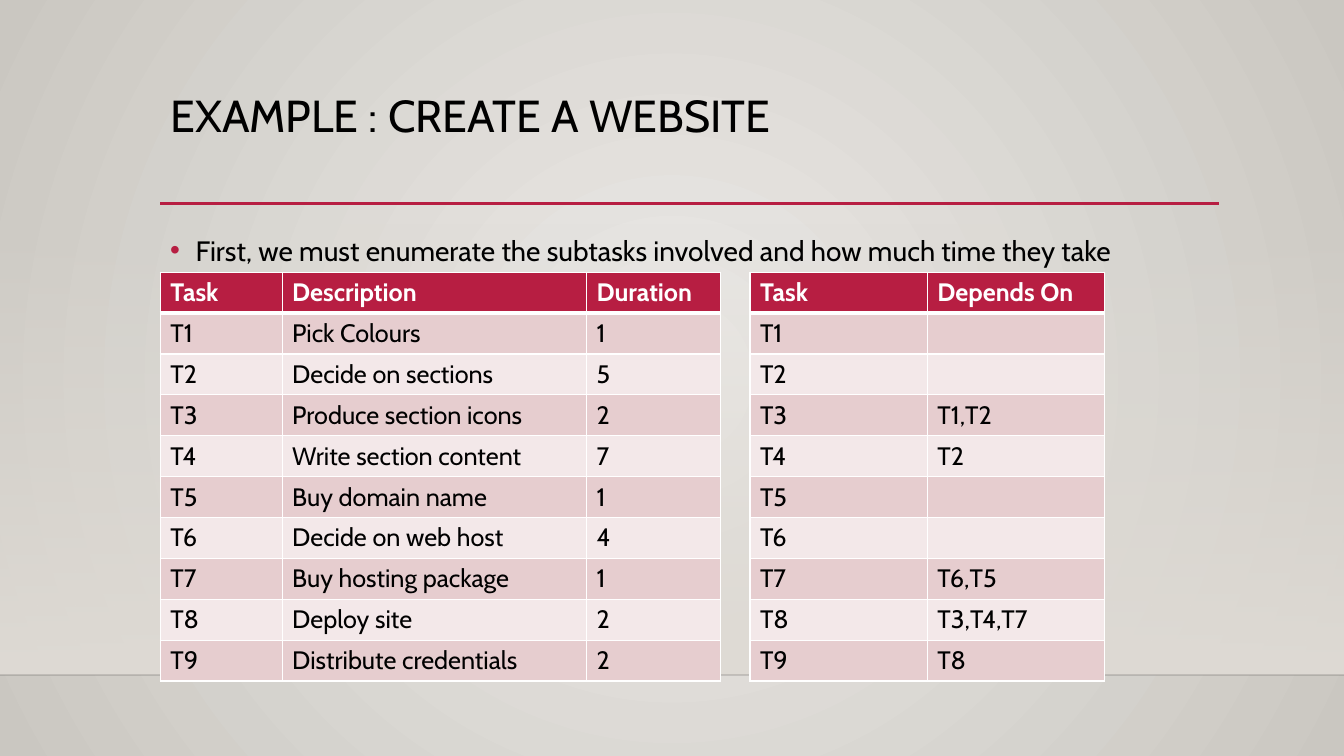
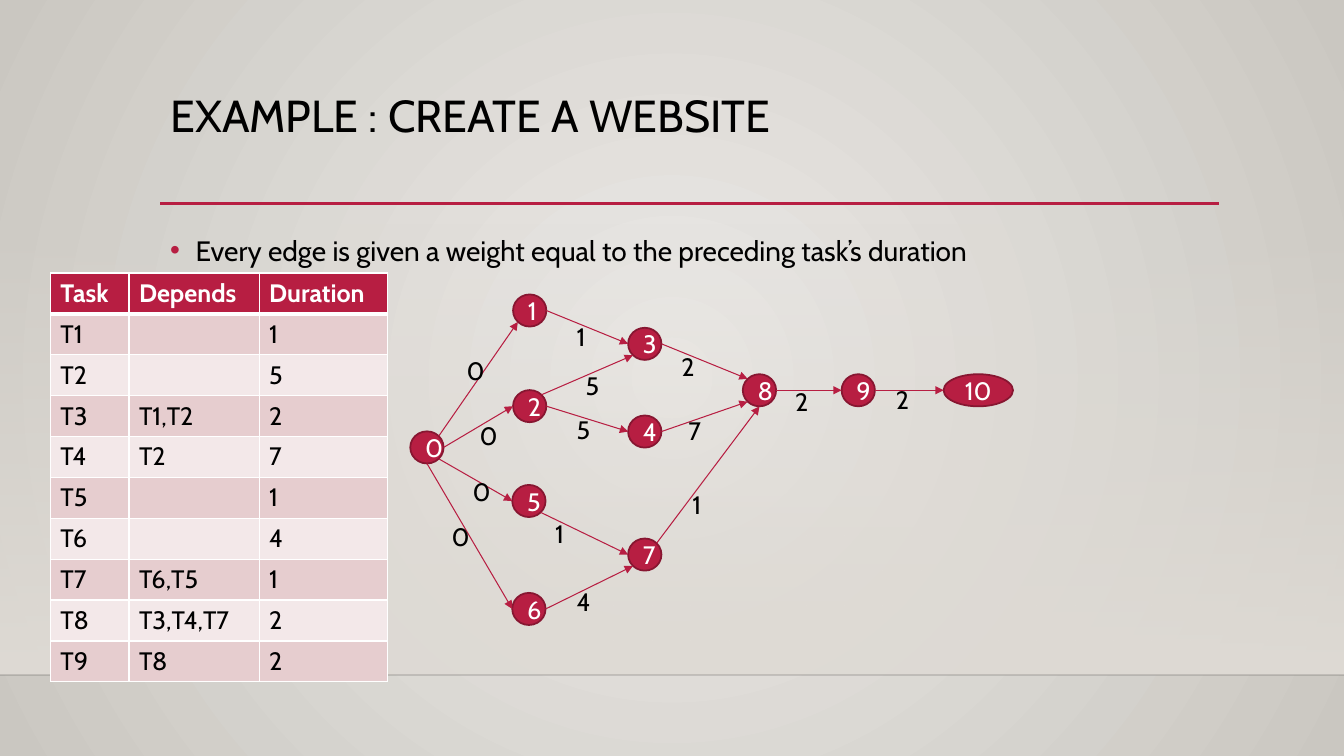
from lxml.etree import SubElement
from pptx import Presentation
from pptx.dml.color import RGBColor
from pptx.enum.shapes import MSO_CONNECTOR, MSO_SHAPE
from pptx.enum.text import MSO_ANCHOR, MSO_AUTO_SIZE, PP_ALIGN
from pptx.oxml.ns import qn
from pptx.util import Cm, Pt

COLORS = {
    "accent": "B71E42", "accent_dark": "871631", "text": "000000", "white": "FFFFFF",
    "row_odd": "E6CDCF", "row_even": "F3E8E9", "floor": "DFDBD5", "horizon": "000001",
    "glow": "ECEAE7", "edge": "CAC7C1",
}
FONT = "Cabin"
SLIDE_WIDTH, SLIDE_HEIGHT = 33.87, 19.05
CONTENT_LEFT, CONTENT_WIDTH = 4.04, 26.67
ROW_HEIGHT = 1.03
TITLE = "EXAMPLE : CREATE A WEBSITE"

# Description, duration and dependencies of T1 to T9
TASKS = [
    ("Pick Colours", 1, ""),
    ("Decide on sections", 5, ""),
    ("Produce section icons", 2, "T1,T2"),
    ("Write section content", 7, "T2"),
    ("Buy domain name", 1, ""),
    ("Decide on web host", 4, ""),
    ("Buy hosting package", 1, "T6,T5"),
    ("Deploy site", 2, "T3,T4,T7"),
    ("Distribute credentials", 2, "T8"),
]

# Top left corner of each numbered node, in cm within the graph
NODE_WIDTH, WIDE_NODE_WIDTH, NODE_HEIGHT = 0.84, 1.75, 0.81
NODES = [
    (0, 3.45), (2.59, 0), (2.59, 2.41), (5.49, 0.84), (5.49, 3.05), (2.57, 4.8),
    (2.57, 7.52), (5.49, 6.15), (8.38, 2.01), (10.87, 2.01), (13.44, 2.01),
]
# Connection sites of an ellipse: index, and direction from its centre
DIAGONAL = 0.71
SITES = {
    "top left": (1, -DIAGONAL, -DIAGONAL), "left": (2, -1, 0),
    "bottom left": (3, -DIAGONAL, DIAGONAL), "bottom": (4, 0, 1),
    "bottom right": (5, DIAGONAL, DIAGONAL), "right": (6, 1, 0),
    "top right": (7, DIAGONAL, -DIAGONAL),
}
# Source, its site, target, its site, top left corner of the weight
EDGES = [
    (0, "top right", 1, "bottom left", 1.17, 1.42),
    (0, "right", 2, "left", 1.5, 3.05),
    (0, "bottom right", 5, "left", 1.32, 4.45),
    (0, "bottom", 6, "left", 0.79, 5.59),
    (1, "right", 3, "left", 3.94, 0.56),
    (2, "top right", 3, "bottom left", 4.17, 1.78),
    (2, "right", 4, "left", 3.94, 2.9),
    (5, "bottom right", 7, "left", 3.4, 5.51),
    (6, "right", 7, "bottom left", 3.94, 7.24),
    (3, "right", 8, "top left", 6.58, 1.32),
    (4, "right", 8, "bottom left", 6.76, 2.92),
    (7, "top right", 8, "bottom", 6.86, 4.78),
    (8, "right", 9, "left", 9.45, 2.18),
    (9, "right", 10, "left", 11.99, 2.13),
]


def rgb(name):
    return RGBColor.from_string(COLORS[name])


def format_text(paragraph, size, color="text", bold=False):
    font = paragraph.font
    font.name, font.size, font.bold = FONT, Pt(size), bold
    font.color.rgb = rgb(color)


def set_gradient(fill, first, last):
    fill.gradient()
    for stop, color in zip(fill.gradient_stops, (first, last)):
        stop.color.rgb = rgb(color)


def set_alpha(parent, percent):
    """Make the first colour below the element see-through."""
    color = next(parent.iter(qn("a:srgbClr")))
    SubElement(color, qn("a:alpha"), val=str(percent * 1000))


def set_background(master):
    set_gradient(master.background.fill, "glow", "edge")
    gradient = next(master.element.iter(qn("a:gradFill")))
    gradient.remove(gradient.find(qn("a:lin")))
    circle = SubElement(gradient, qn("a:path"), path="circle")
    SubElement(circle, qn("a:fillToRect"), {side: "50000" for side in "ltrb"})


def add_line(slide, start, end, color, width):
    line = slide.shapes.add_connector(
        MSO_CONNECTOR.STRAIGHT, *(Cm(value) for value in (*start, *end)))
    line.line.color.rgb = rgb(color)
    line.line.width = Pt(width)
    SubElement(line._element.spPr, qn("a:effectLst"))
    return line


def add_stage(slide):
    """Draw the floor band, the horizon and the rule under the title."""
    top, height = 5.61, 11.4
    floor = slide.shapes.add_shape(
        MSO_SHAPE.RECTANGLE, 0, Cm(top), Cm(SLIDE_WIDTH), Cm(height))
    floor.shadow.inherit = False
    floor.line.fill.background()
    set_gradient(floor.fill, "floor", "floor")
    floor.fill.gradient_angle = 270
    set_alpha(floor._element.spPr, 0)
    horizon = add_line(slide, (0, top + height), (SLIDE_WIDTH, top + height), "horizon", 1)
    set_alpha(horizon._element.spPr, 20)
    add_line(slide, (CONTENT_LEFT, 5.13), (CONTENT_LEFT + CONTENT_WIDTH, 5.13), "accent", 2.5)


def set_title(slide, text):
    title = slide.shapes.title
    title.left, title.top = Cm(CONTENT_LEFT), Cm(2.24)
    title.width, title.height = Cm(CONTENT_WIDTH), Cm(2.92)
    frame = title.text_frame
    frame.text = text
    frame.word_wrap = True
    frame.auto_size = MSO_AUTO_SIZE.NONE
    frame.vertical_anchor = MSO_ANCHOR.TOP
    paragraph = frame.paragraphs[0]
    paragraph.alignment = PP_ALIGN.LEFT
    paragraph.line_spacing = 0.9
    format_text(paragraph, 32)


def add_bullet(slide, text):
    box = slide.shapes.add_textbox(Cm(CONTENT_LEFT), Cm(5.59), Cm(CONTENT_WIDTH), Cm(10.44))
    box.text_frame.word_wrap = True
    paragraph = box.text_frame.paragraphs[0]
    paragraph.text = text
    paragraph.line_spacing = 1.2
    paragraph.space_before = Pt(10)
    properties = paragraph._p.get_or_add_pPr()
    properties.set("marL", str(Cm(0.64)))
    properties.set("indent", str(-Cm(0.64)))
    bullet_color = SubElement(properties, qn("a:buClr"))
    SubElement(bullet_color, qn("a:srgbClr"), val=COLORS["accent"])
    SubElement(properties, qn("a:buFont"), typeface="Arial")
    SubElement(properties, qn("a:buChar"), char="•")
    format_text(paragraph, 20)


def add_task_slide(presentation, bullet):
    slide = presentation.slides.add_slide(presentation.slide_layouts[5])
    add_stage(slide)
    set_title(slide, TITLE)
    add_bullet(slide, bullet)
    return slide


def set_borders(cell, top, bottom):
    properties = cell._tc.get_or_add_tcPr()
    for index, (side, width) in enumerate(zip("LRTB", (1, 1, top, bottom))):
        line = SubElement(properties, qn(f"a:ln{side}"), w=str(Pt(width)))
        fill = SubElement(line, qn("a:solidFill"))
        SubElement(fill, qn("a:srgbClr"), val=COLORS["white"])
        properties.insert(index, line)


def add_task_table(slide, left, top, widths, rows):
    """Add a table whose first row is the heading."""
    table = slide.shapes.add_table(
        len(rows), len(widths), Cm(left), Cm(top),
        Cm(sum(widths)), Cm(ROW_HEIGHT * len(rows))).table
    table.horz_banding = False
    for column, width in zip(table.columns, widths):
        column.width = Cm(width)
    for row_index, row in enumerate(rows):
        heading = row_index == 0
        color = "accent" if heading else "row_odd" if row_index % 2 else "row_even"
        table.rows[row_index].height = Cm(ROW_HEIGHT)
        for column_index, value in enumerate(row):
            cell = table.cell(row_index, column_index)
            cell.text = str(value)
            cell.fill.solid()
            cell.fill.fore_color.rgb = rgb(color)
            set_borders(cell, 3 if row_index == 1 else 1, 3 if heading else 1)
            format_text(cell.text_frame.paragraphs[0], 18,
                        "white" if heading else "text", heading)


def add_node(slide, left, top, number):
    width = WIDE_NODE_WIDTH if number > 9 else NODE_WIDTH
    node = slide.shapes.add_shape(
        MSO_SHAPE.OVAL, Cm(left), Cm(top), Cm(width), Cm(NODE_HEIGHT))
    node.shadow.inherit = False
    node.fill.solid()
    node.fill.fore_color.rgb = rgb("accent")
    node.line.color.rgb = rgb("accent_dark")
    node.line.width = Pt(1.25)
    paragraph = node.text_frame.paragraphs[0]
    paragraph.text = str(number)
    paragraph.alignment = PP_ALIGN.CENTER
    format_text(paragraph, 18, "white")
    return node


def site_point(node, site):
    """Return a connection site of an ellipse in cm."""
    _, across, down = SITES[site]
    return (node.left.cm + node.width.cm * (1 + across) / 2,
            node.top.cm + node.height.cm * (1 + down) / 2)


def add_edge(slide, source, source_site, target, target_site):
    arrow = add_line(slide, site_point(source, source_site),
                     site_point(target, target_site), "accent", 0.75)
    SubElement(arrow.line._get_or_add_ln(), qn("a:tailEnd"), type="triangle")
    joints = next(arrow._element.iter(qn("p:cNvCxnSpPr")))
    for tag, node, site in (("a:stCxn", source, source_site), ("a:endCxn", target, target_site)):
        SubElement(joints, qn(tag), id=str(node.shape_id), idx=str(SITES[site][0]))


def add_weight(slide, left, top, weight):
    box = slide.shapes.add_textbox(Cm(left), Cm(top), Cm(0.84), Cm(1.03))
    box.text_frame.word_wrap = False
    box.text_frame.auto_size = MSO_AUTO_SIZE.SHAPE_TO_FIT_TEXT
    paragraph = box.text_frame.paragraphs[0]
    paragraph.text = str(weight)
    format_text(paragraph, 18)


def add_task_graph(slide, left, top):
    nodes = [add_node(slide, left + x, top + y, number)
             for number, (x, y) in enumerate(NODES)]
    weights = [0] + [duration for _, duration, _ in TASKS]
    for source, source_site, target, target_site, x, y in EDGES:
        add_edge(slide, nodes[source], source_site, nodes[target], target_site)
        add_weight(slide, left + x, top + y, weights[source])


def build_subtasks_slide(presentation):
    slide = add_task_slide(
        presentation, "First, we must enumerate the subtasks involved and how much time they take")
    described = [("Task", "Description", "Duration")]
    dependent = [("Task", "Depends On")]
    for number, (description, duration, depends) in enumerate(TASKS, 1):
        described.append((f"T{number}", description, duration))
        dependent.append((f"T{number}", depends))
    add_task_table(slide, CONTENT_LEFT, 6.86, (3.07, 7.67, 3.38), described)
    add_task_table(slide, 18.9, 6.86, (4.47, 4.47), dependent)


def build_graph_slide(presentation):
    slide = add_task_slide(
        presentation, "Every edge is given a weight equal to the preceding task’s duration")
    rows = [("Task", "Depends", "Duration")]
    rows += [(f"T{number}", depends, duration)
             for number, (_, duration, depends) in enumerate(TASKS, 1)]
    add_task_table(slide, 1.27, 6.88, (1.98, 3.28, 3.23), rows)
    add_task_graph(slide, 10.34, 7.42)


def main():
    presentation = Presentation()
    presentation.slide_width, presentation.slide_height = Cm(SLIDE_WIDTH), Cm(SLIDE_HEIGHT)
    set_background(presentation.slide_master)
    build_subtasks_slide(presentation)
    build_graph_slide(presentation)
    presentation.save("out.pptx")


if __name__ == "__main__":
    main()
